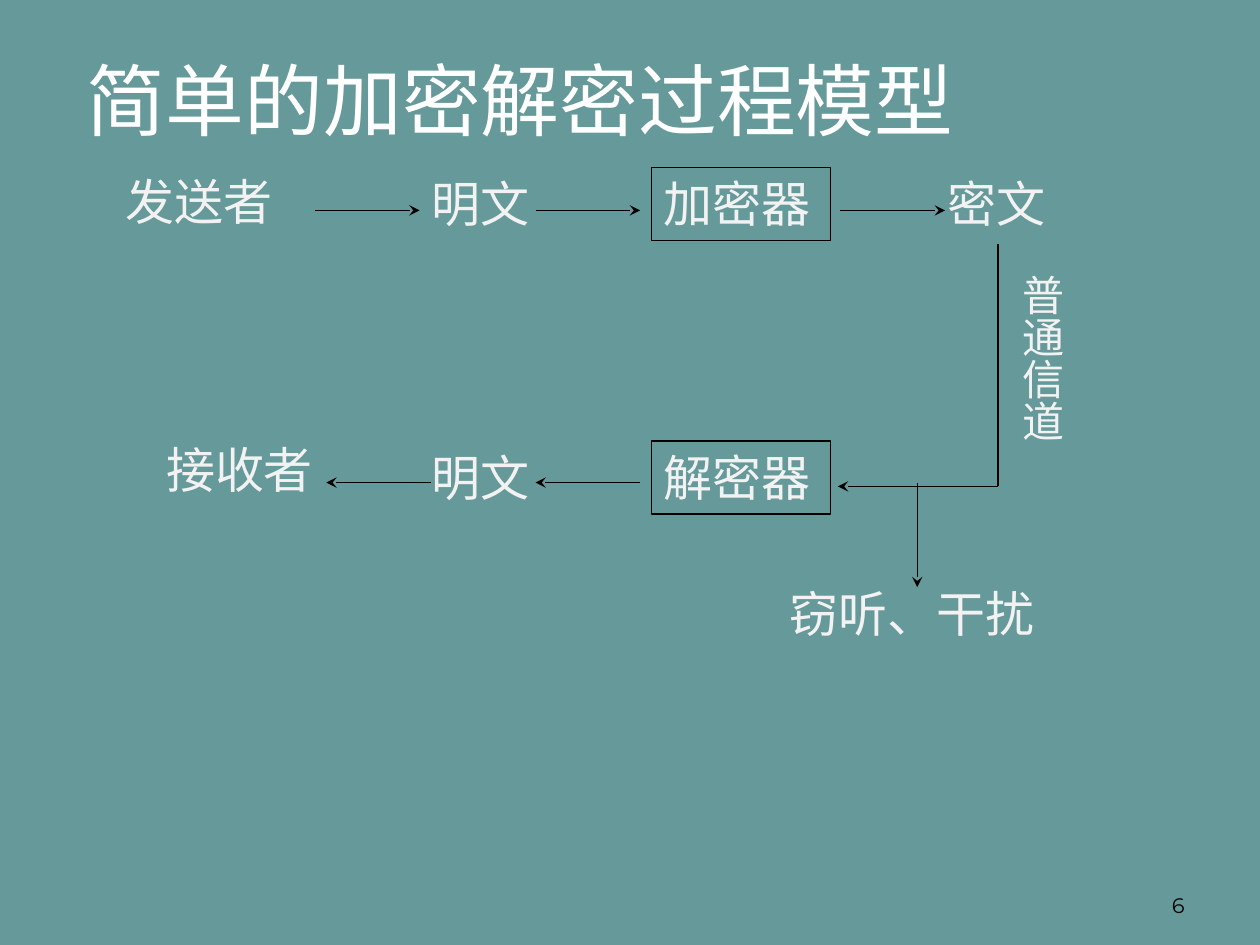
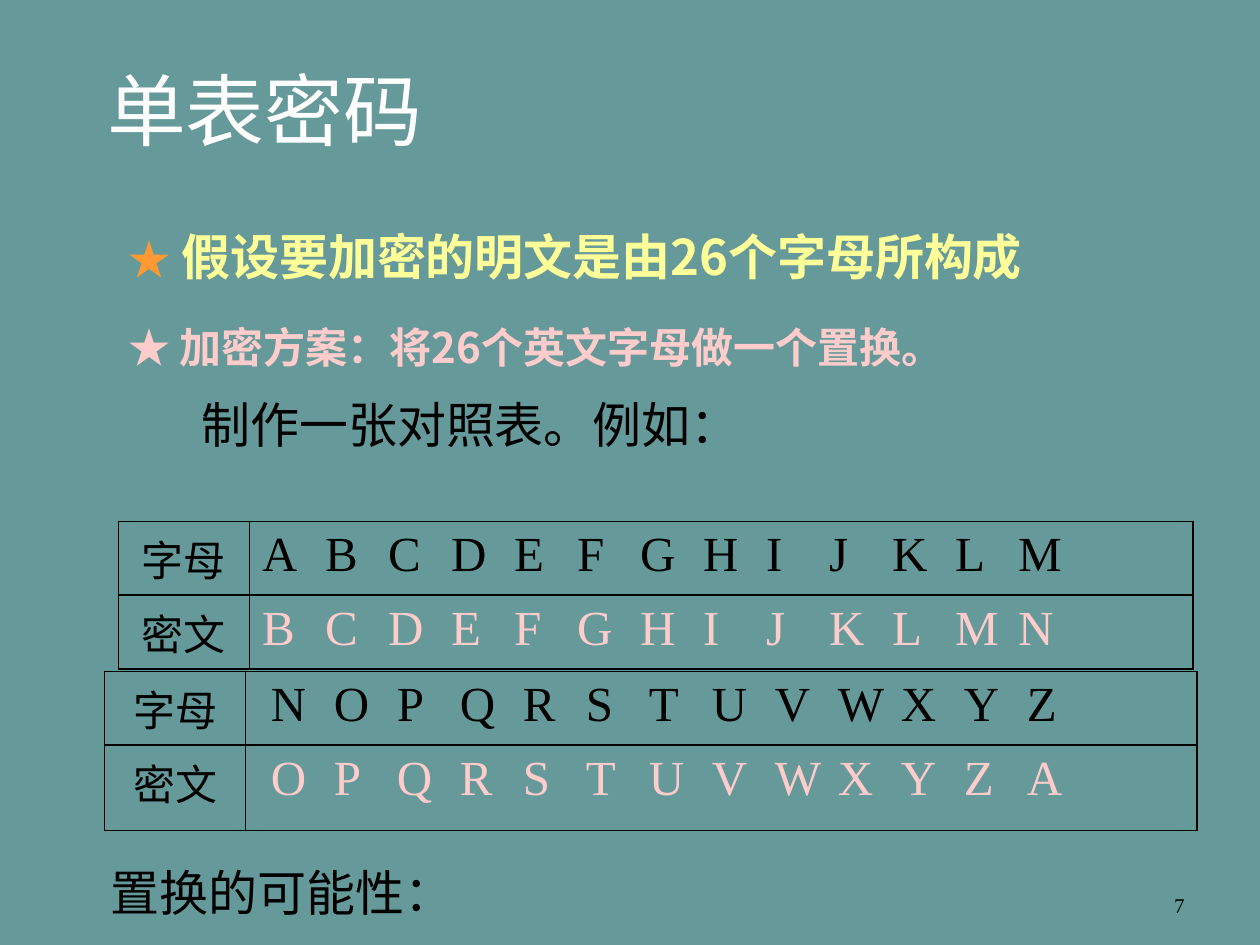
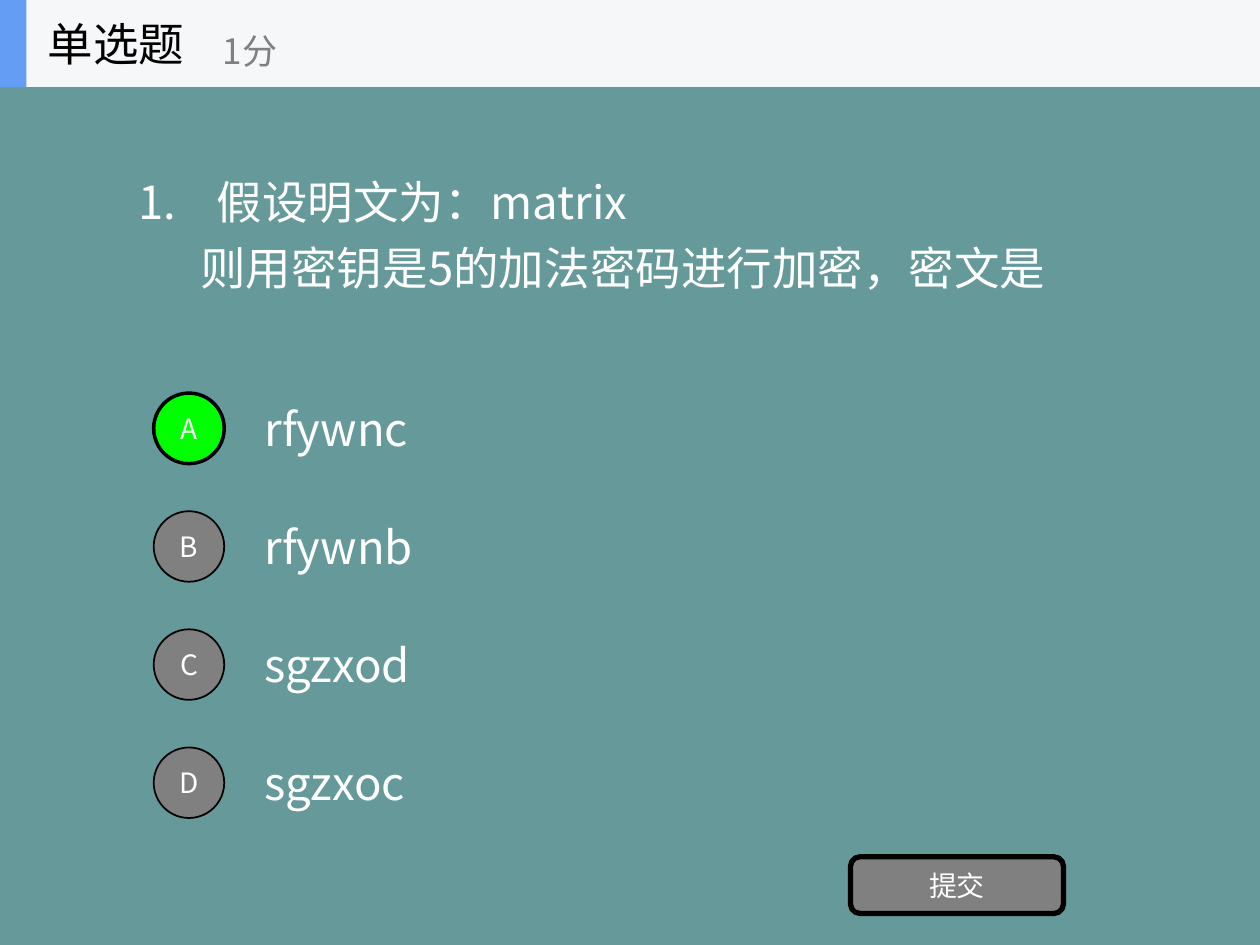
from lxml import etree
from pptx import Presentation
from pptx import util as u
from pptx.dml import color
from pptx.enum import shapes, text
from pptx.oxml import ns

# Shared look
TEAL, BLACK, WHITE, GRAY = "669999", "000000", "FFFFFF", "808080"
PALE, PINK, YELLOW, ORANGE = "F2F2F2", "FFCCCC", "FFFF99", "FF9933"
SERIF, SANS, NUMBER = "Times New Roman", "Noto Sans CJK SC", "Montserrat"
TITLE_ONLY = 5
LEFT, CENTER, RIGHT = text.PP_ALIGN.LEFT, text.PP_ALIGN.CENTER, text.PP_ALIGN.RIGHT
TOP, MIDDLE, BOTTOM = (text.MSO_ANCHOR.TOP, text.MSO_ANCHOR.MIDDLE,
                       text.MSO_ANCHOR.BOTTOM)


def rgb(value):
    return color.RGBColor.from_string(value)


def inches(*values):
    return [u.Inches(v) for v in values]


def child(parent, tag, **attrs):
    return etree.SubElement(parent, ns.qn(tag), attrs)


# Text
def add_run(p, words, size, fill, font=SERIF, bold=False):
    r = p.add_run()
    r.text = words
    r.font.size = u.Pt(size)
    r.font.bold = bold
    r.font.color.rgb = rgb(fill)
    r.font.name = font
    child(r.font._element, "a:ea", typeface=SANS)


def set_indent(p, left, first):
    pPr = p._p.get_or_add_pPr()
    pPr.set("marL", str(u.Inches(left)))
    pPr.set("indent", str(u.Inches(first)))


def set_tabs(p, start, step, count):
    tabs = child(p._p.get_or_add_pPr(), "a:tabLst")
    for i in range(1, count):
        child(tabs, "a:tab", pos=str(u.Inches(start + i * step)), algn="l")


def setup_frame(sp, anchor=TOP, align=LEFT):
    tf = sp.text_frame
    tf.word_wrap = True
    tf.auto_size = text.MSO_AUTO_SIZE.NONE
    tf.vertical_anchor = anchor
    p = tf.paragraphs[0]
    p.alignment = align
    return p


def add_box(s, at, anchor=TOP, align=LEFT):
    return setup_frame(s.shapes.add_textbox(*inches(*at)), anchor, align)


def add_label(s, at, words, size=28, fill=PALE, font=SERIF, anchor=TOP):
    add_run(add_box(s, at, anchor), words, size, fill, font)


def place_title(s, at, anchor=TOP):
    sp = s.shapes.title
    sp.left, sp.top, sp.width, sp.height = inches(*at)
    return setup_frame(sp, anchor)


def add_title(s, at, words):
    add_run(place_title(s, at), words, 45, WHITE)


def add_page_number(s, number, font):
    p = add_box(s, (7.17, 6.83, 2.33, 0.5), BOTTOM, RIGHT)
    add_run(p, number, 12, BLACK, font)


# Shapes and lines
def add_shape(s, kind, at, fill=None, line=None):
    sp = s.shapes.add_shape(kind, *inches(*at))
    sp.shadow.inherit = False
    if fill:
        sp.fill.solid()
        sp.fill.fore_color.rgb = rgb(fill)
    else:
        sp.fill.background()
    if line:
        sp.line.color.rgb = rgb(BLACK)
        sp.line.width = u.Pt(line)
    else:
        sp.line.fill.background()
    return sp


def add_line(s, start, end, arrow=True):
    c = s.shapes.add_connector(shapes.MSO_CONNECTOR.STRAIGHT, *inches(*start, *end))
    c.line.color.rgb = rgb(BLACK)
    c.line.width = u.Pt(0.75)
    if arrow:
        child(c.line._get_or_add_ln(), "a:tailEnd", type="stealth")
    child(c.element.spPr, "a:effectLst")


def add_button(s, kind, at, words, fill, line):
    sp = add_shape(s, kind, at, fill, line)
    p = setup_frame(sp, MIDDLE, CENTER)
    tf = sp.text_frame
    tf.margin_left = tf.margin_right = tf.margin_top = tf.margin_bottom = 0
    add_run(p, words, 16, WHITE, SANS)


# Tables
def set_borders(cell, widths):
    tcPr = cell._tc.get_or_add_tcPr()
    for i, (side, width) in enumerate(zip("LRTB", widths)):
        ln = etree.Element(ns.qn("a:ln" + side), w=str(u.Pt(width)))
        child(child(ln, "a:solidFill"), "a:srgbClr", val=BLACK)
        tcPr.insert(i, ln)


def add_cipher_table(s, at, cols, rows, letters, start, step, outer):
    """Two rows: plain letters and, below them, their replacements."""
    frame = s.shapes.add_table(2, 2, *inches(*at))
    table = frame.table
    table.first_row = table.horz_banding = False
    for col, width in zip(table.columns, cols):
        col.width = u.Inches(width)
    for row, height in zip(table.rows, rows):
        row.height = u.Inches(height)
    lines = zip(("字母", "密文"), letters, (BLACK, PINK))
    for i, (name, line, fill) in enumerate(lines):
        head, body = table.cell(i, 0), table.cell(i, 1)
        p = head.text_frame.paragraphs[0]
        p.alignment = CENTER
        add_run(p, name, 24, BLACK)
        p = body.text_frame.paragraphs[0]
        set_indent(p, start, 0)
        set_tabs(p, start, step, len(line))
        add_run(p, "\t".join(line), 28, fill)
        top, bottom = (outer, 1) if i == 0 else (1, outer)
        for cell, sides in ((head, (outer, 1)), (body, (1, outer))):
            cell.fill.background()
            set_borders(cell, (*sides, top, bottom))


# Slides
def build_model(s):
    add_page_number(s, "6", NUMBER)
    add_title(s, (0.59, 0.36, 7.24, 0.85), "简单的加密解密过程模型")
    for x, y, width, words in ((0.9, 1.31, 1.58, "发送者"),
                               (3.33, 1.33, 1.08, "明文"),
                               (7.42, 1.33, 1.17, "密文"),
                               (1.22, 3.44, 1.42, "接收者"),
                               (3.33, 3.5, 1, "明文"),
                               (6.17, 4.58, 2.15, "窃听、干扰")):
        add_label(s, (x, y, width, 0.57), words)

    # Vertical channel label
    sp = s.shapes.add_textbox(*inches(7.91, 2.08, 0.61, 1.45))
    add_run(setup_frame(sp), "普通信道", 24, PALE)
    sp.text_frame.word_wrap = False
    sp.element.txBody.bodyPr.set("vert", "eaVert")

    # Sending row, channel, eavesdropper, receiving row
    for x in (2.5, 4.25, 6.67):
        add_line(s, (x, 1.67), (x + 0.83, 1.67))
    add_line(s, (7.92, 1.94), (7.92, 3.86), arrow=False)
    add_line(s, (7.92, 3.86), (6.65, 3.86))
    add_line(s, (7.28, 3.83), (7.28, 4.66))
    for x in (5.08, 3.42):
        add_line(s, (x, 3.83), (x - 0.83, 3.83))

    for y, words in ((1.33, "加密器"), (3.5, "解密器")):
        sp = add_shape(s, shapes.MSO_SHAPE.RECTANGLE, (5.17, y, 1.42, 0.58), line=0.75)
        add_run(setup_frame(sp), words, 28, PALE)


def build_substitution(s):
    add_page_number(s, "7", SERIF)
    add_title(s, (0.75, 0.44, 5.25, 0.85), "单表密码")

    p = add_box(s, (0.92, 1.75, 7.75, 0.57))
    add_run(p, "★", 24, ORANGE, SANS)
    add_run(p, " ", 28, YELLOW, SANS)
    add_run(p, "假设要加密的明文是由26个字母所构成", 28, YELLOW, SANS, True)
    p = add_box(s, (0.92, 2.5, 8.25, 0.5))
    set_indent(p, 0.5, -0.5)
    add_run(p, "★ 加密方案：将26个英文字母做一个置换。", 24, PINK, SANS, True)
    add_label(s, (1.5, 3.08, 7.58, 0.57), "制作一张对照表。例如：", fill=BLACK)

    add_cipher_table(s, (0.94, 4.14, 8.53, 1.15), (1.04, 7.49), (0.58, 0.57),
                     ("ABCDEFGHIJKLM", "BCDEFGHIJKLMN"), 0, 0.56, 1)
    add_cipher_table(s, (0.83, 5.33, 8.67, 1.25), (1.12, 7.55), (0.57, 0.68),
                     ("NOPQRSTUVWXYZ", "OPQRSTUVWXYZA"), 0.1, 0.57, 0.75)
    add_label(s, (0.78, 6.8, 7.58, 0.57), "置换的可能性：", fill=BLACK)


def build_quiz(s):
    # Question
    p = place_title(s, (1, 0.69, 8, 2.34), MIDDLE)
    set_indent(p, 0.62, -0.62)
    add_run(p, "1.\t假设明文为：matrix", 26, WHITE, SANS)
    p = s.shapes.title.text_frame.add_paragraph()
    p.alignment = LEFT
    p.space_before = u.Pt(6.5)
    set_indent(p, 0.49, 0)
    add_run(p, "则用密钥是5的加法密码进行加密，密文是", 26, WHITE, SANS)

    # Answers, the right one in green
    for i, answer in enumerate(("rfywnc", "rfywnb", "sgzxod", "sgzxoc")):
        y = 3.05 + i * 0.9375
        add_label(s, (2, y, 7, 0.7), answer, 26, WHITE, SANS, MIDDLE)
        fill, line = ("00FF00", 2) if i == 0 else (GRAY, 1)
        add_button(s, shapes.MSO_SHAPE.OVAL, (1.22, y + 0.07, 0.56, 0.56),
                   "ABCD"[i], fill, line)
    add_button(s, shapes.MSO_SHAPE.ROUNDED_RECTANGLE, (6.75, 6.8, 1.69, 0.45),
               "提交", GRAY, 3)

    # Header band
    for width, fill in ((10, "F6F7F8"), (0.21, "639EF4")):
        add_shape(s, shapes.MSO_SHAPE.RECTANGLE, (0, 0, width, 0.69), fill)
    add_label(s, (0.28, 0, 2.08, 0.69), "单选题", 26, BLACK, SANS, MIDDLE)
    add_label(s, (1.67, 0.12, 2.5, 0.56), "1分", 20, GRAY, SANS, MIDDLE)


def main():
    prs = Presentation()
    prs.slide_width, prs.slide_height = inches(10, 7.5)
    fill = prs.slide_master.background.fill
    fill.solid()
    fill.fore_color.rgb = rgb(TEAL)
    for build in (build_model, build_substitution, build_quiz):
        build(prs.slides.add_slide(prs.slide_layouts[TITLE_ONLY]))
    prs.save("out.pptx")


if __name__ == "__main__":
    main()
